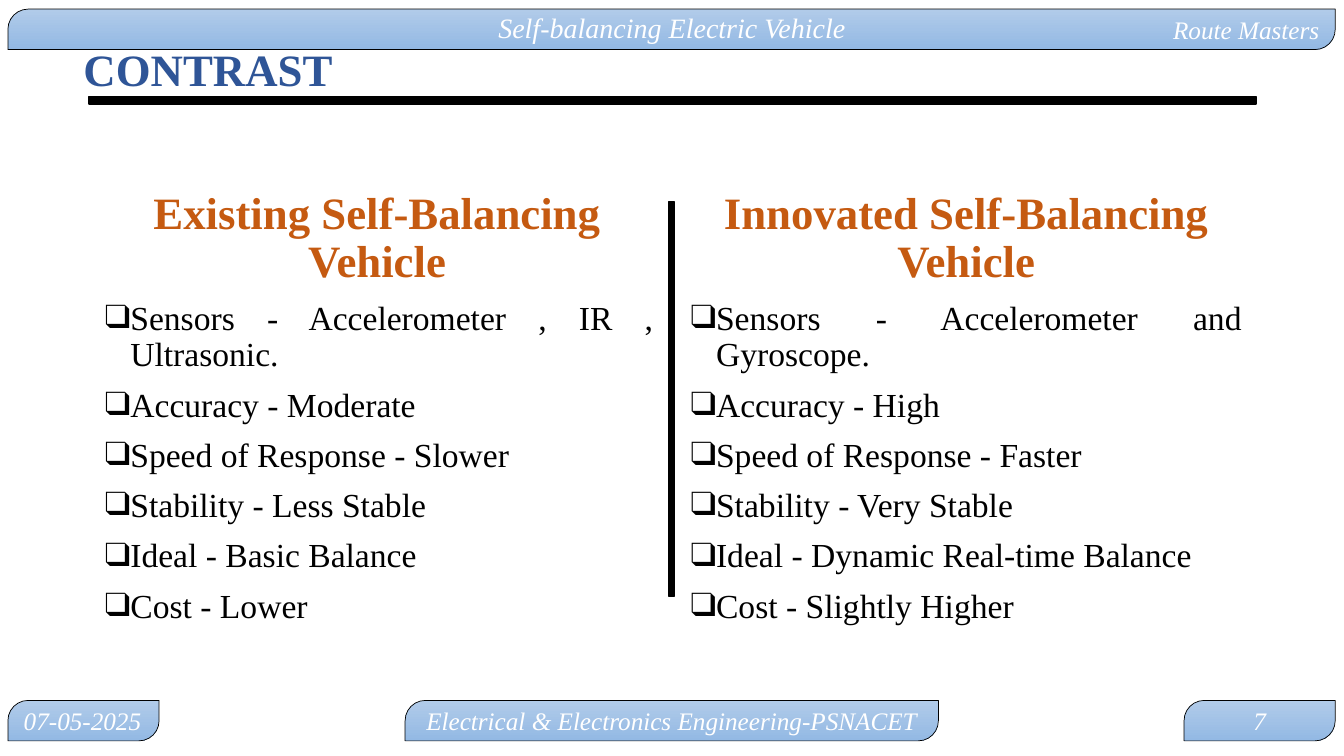
import pptx
import pptx.util
import pptx.dml.color
import pptx.enum.shapes
import pptx.enum.text
import pptx.oxml
from pptx.util import Cm

TITLE = "CONTRAST"
PROJECT = "Self-balancing Electric Vehicle"
# heading, points, left of heading, left of list, width
COLUMNS = [
    ("Existing Self-Balancing Vehicle",
     ["Sensors - Accelerometer , IR , Ultrasonic.", "Accuracy - Moderate",
      "Speed of Response - Slower", "Stability - Less Stable",
      "Ideal - Basic Balance", "Cost - Lower"], 2.34, 2.39, 14.33),
    ("Innovated Self-Balancing Vehicle",
     ["Sensors - Accelerometer and Gyroscope.", "Accuracy - High",
      "Speed of Response - Faster", "Stability - Very Stable",
      "Ideal - Dynamic Real-time Balance", "Cost - Slightly Higher"],
     17.15, 17.15, 14.4),
]
HEADER_TOP, FOOTER_TOP, BAR_HEIGHT = 0.23, 17.65, 1.02
# text, alignment, left, top, width
BARS = [
    ("07-05-2025", "LEFT", 0.2, FOOTER_TOP, 3.81),
    ("Route Masters", "RIGHT", 0.2, HEADER_TOP, 33.45),
    ("7", "CENTER", 29.84, FOOTER_TOP, 3.81),
    ("Electrical & Electronics Engineering-PSNACET", "CENTER",
     10.21, FOOTER_TOP, 13.44),
]
RULES = [(2.24, 2.44, 29.41, 0.18), (16.85, 5.09, 0.15, 9.93)]

COLORS = {"black": "000000", "white": "FFFFFF", "title": "2F5597",
          "heading": "C55A11", "bar_top": "B1CBE9", "bar_bottom": "93B9E4"}
FORMATS = {
    "title": {"size": 32, "bold": True, "italic": False, "color": "title"},
    "heading": {"size": 32, "bold": True, "italic": False, "color": "heading"},
    "point": {"size": 24, "bold": False, "italic": False, "color": "black"},
    "bar": {"size": 18, "bold": False, "italic": True, "color": "white"},
    "project": {"size": 20, "bold": False, "italic": True, "color": "white"},
}


def rgb(name):
    return pptx.dml.color.RGBColor.from_string(COLORS[name])


def place(part, left, top, width, height):
    for side, length in zip(("left", "top", "width", "height"),
                            (left, top, width, height)):
        setattr(part, side, Cm(length))


def add_bullet(paragraph):
    properties = paragraph._p.get_or_add_pPr()
    properties.set("marL", str(Cm(0.64)))
    properties.set("indent", str(-Cm(0.64)))
    for tag, key, value in (("buFont", "typeface", "Times New Roman"),
                            ("buChar", "char", "❑")):
        bullet = pptx.oxml.xmlchemy.OxmlElement("a:" + tag)
        bullet.set(key, value)
        properties.append(bullet)


def write(part, lines, style, align="LEFT", anchor="TOP", spacing=1.0,
          gap=0, bulleted=False):
    frame = part.text_frame
    frame.word_wrap = True
    frame.auto_size = pptx.enum.text.MSO_AUTO_SIZE.NONE
    frame.vertical_anchor = getattr(pptx.enum.text.MSO_ANCHOR, anchor)
    frame.text = "\n".join(lines)
    for number, paragraph in enumerate(frame.paragraphs):
        paragraph.alignment = getattr(pptx.enum.text.PP_ALIGN, align)
        paragraph.line_spacing = spacing
        paragraph.space_before = pptx.util.Pt(gap if number else 0)
        if bulleted:
            add_bullet(paragraph)
        font = paragraph.runs[0].font
        font.name = "Times New Roman"
        for key, value in FORMATS[style].items():
            if key == "size":
                font.size = pptx.util.Pt(value)
            elif key == "color":
                font.color.rgb = rgb(value)
            else:
                setattr(font, key, value)


def add_block(slide, preset, box, line_width):
    """Add an outlined preset shape without shadow."""
    kind = getattr(pptx.enum.shapes.MSO_SHAPE, preset)
    block = slide.shapes.add_shape(kind, *map(Cm, box))
    block.shadow.inherit = False
    block.line.color.rgb = rgb("black")
    block.line.width = pptx.util.Pt(line_width)
    return block


def add_bar(slide, text, align, left, top, width):
    bar = add_block(slide, "ROUND_2_DIAG_RECTANGLE",
                    (left, top, width, BAR_HEIGHT), 0.5)
    bar.adjustments[0], bar.adjustments[1] = 0.5, 0
    bar.fill.gradient()
    bar.fill.gradient_angle = 270
    for stop, color in zip(bar.fill.gradient_stops, ("bar_top", "bar_bottom")):
        stop.color.rgb = rgb(color)
    write(bar, [text], "bar", align, "MIDDLE")


def main():
    deck = pptx.Presentation()
    deck.slide_width, deck.slide_height = Cm(33.87), Cm(19.05)
    slide = deck.slides.add_slide(deck.slide_layouts.get_by_name("Comparison"))

    for bar in BARS:
        add_bar(slide, *bar)
    project = slide.shapes.add_textbox(*map(Cm, (10.57, 0.13, 12.73, 1.12)))
    write(project, [PROJECT], "project", "CENTER")

    title = slide.shapes.title
    place(title, 1.85, 1.07, 29.54, 1.27)
    write(title, [TITLE], "title", spacing=0.9)
    for box in RULES:
        rule = add_block(slide, "RECTANGLE", box, 1)
        rule.fill.solid()
        rule.fill.fore_color.rgb = rgb("black")

    bodies = list(slide.placeholders)[1:]
    for (heading, points, heading_left, list_left, width), head, body in zip(
            COLUMNS, bodies[::2], bodies[1::2]):
        place(head, heading_left, 4.67, width, 2.29)
        write(head, [heading], "heading", "CENTER", spacing=0.9)
        place(body, list_left, 7.47, width, 10.24)
        write(body, points, "point", "JUSTIFY", spacing=0.9, gap=10,
              bulleted=True)

    deck.save("out.pptx")


if __name__ == "__main__":
    main()
